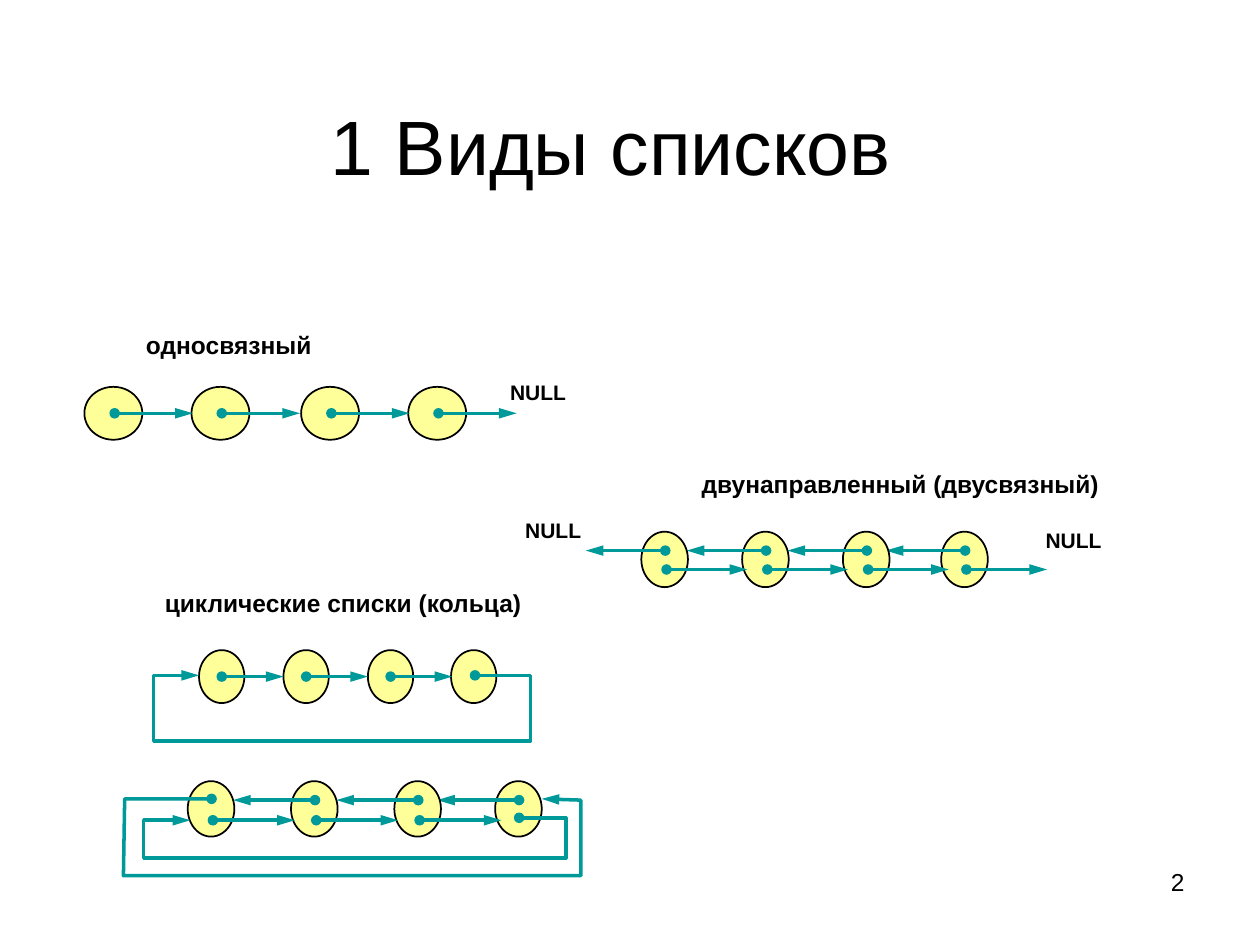
from dataclasses import dataclass

from pptx import Presentation
from pptx.dml.color import RGBColor
from pptx.enum.shapes import MSO_CONNECTOR as Connector, MSO_SHAPE as Shape
from pptx.enum.text import MSO_ANCHOR as Anchor, PP_ALIGN as Align
from pptx.oxml.ns import qn
from pptx.util import Inches, Pt
from lxml.etree import SubElement


@dataclass(frozen=True)
class Theme:
    font: str = "Arial"
    ink: RGBColor = RGBColor(0x00, 0x00, 0x00)
    node: RGBColor = RGBColor(0xFF, 0xFF, 0x99)
    link: RGBColor = RGBColor(0x00, 0x99, 0x99)
    title_size: int = 44
    label_size: int = 14
    null_size: int = 12
    outline: int = 1
    link_width: int = 2


class ListDiagram:
    """Draws linked list diagrams on one slide in a shared style."""

    def __init__(self, slide, theme):
        self.shapes = slide.shapes
        self.theme = theme

    def text(self, words, left, top, width, height, size, bold=False,
             align=Align.LEFT, anchor=Anchor.TOP, wrap=False):
        box = self.shapes.add_textbox(
            Inches(left), Inches(top), Inches(width), Inches(height))
        frame = box.text_frame
        frame.word_wrap = wrap
        frame.vertical_anchor = anchor
        paragraph = frame.paragraphs[0]
        paragraph.text = words
        paragraph.alignment = align
        font = paragraph.font
        font.name = self.theme.font
        font.size = Pt(size)
        font.bold = bold
        font.color.rgb = self.theme.ink

    def label(self, words, left, top, width):
        self.text(words, left, top, width, 0.34, self.theme.label_size, bold=True)

    def null(self, left, top):
        self.text("NULL", left, top, 0.66, 0.3, self.theme.null_size, bold=True)

    def node(self, left, top, width, height):
        ellipse = self.shapes.add_shape(
            Shape.OVAL, Inches(left), Inches(top), Inches(width), Inches(height))
        ellipse.shadow.inherit = False
        ellipse.fill.solid()
        ellipse.fill.fore_color.rgb = self.theme.node
        ellipse.line.color.rgb = self.theme.ink
        ellipse.line.width = Pt(self.theme.outline)

    def style_link(self, shape):
        shape.line.color.rgb = self.theme.link
        shape.line.width = Pt(self.theme.link_width)
        properties = shape.element.spPr
        line = properties.get_or_add_ln()
        SubElement(line, qn("a:round"))
        SubElement(line, qn("a:headEnd"), type="oval", w="med", len="med")
        SubElement(line, qn("a:tailEnd"), type="triangle", w="med", len="lg")
        return properties

    def arrow(self, start, end, y):
        connector = self.shapes.add_connector(
            Connector.STRAIGHT, Inches(start), Inches(y), Inches(end), Inches(y))
        SubElement(self.style_link(connector), qn("a:effectLst"))

    def loop(self, *points):
        start, *rest = [(Inches(x), Inches(y)) for x, y in points]
        builder = self.shapes.build_freeform(*start)
        builder.add_line_segments(rest, close=False)
        outline = builder.convert_to_shape()
        outline.shadow.inherit = False
        outline.fill.background()
        self.style_link(outline)

    def chain(self, lefts, top, size, forward, backward=None, ring=False):
        """Draws nodes from right to left; arrows are (start, end, y) offsets."""
        last = len(lefts) - 1
        for index, left in reversed(list(enumerate(lefts))):
            self.node(left, top, *size)
            for offsets, open_end in ((forward, last), (backward, 0)):
                if offsets and not (ring and index == open_end):
                    start, end, drop = offsets
                    self.arrow(left + start, left + end, top + drop)


def main():
    presentation = Presentation()
    presentation.slide_width = Inches(10)
    presentation.slide_height = Inches(7.5)
    slide = presentation.slides.add_slide(presentation.slide_layouts[6])
    theme = Theme()
    diagram = ListDiagram(slide, theme)

    diagram.text("1 Виды списков", 0.35, 0.52, 9, 1.25, theme.title_size,
                 align=Align.CENTER, anchor=Anchor.MIDDLE, wrap=True)

    diagram.label("односвязный", 1.06, 2.57, 1.52)
    diagram.chain((0.67, 1.52, 2.39, 3.24), 3.07, (0.46, 0.42),
                  forward=(0.24, 0.86, 0.21))
    diagram.null(3.95, 2.96)

    diagram.label("двунаправленный (двусвязный)", 5.47, 3.67, 3.37)
    diagram.chain((5.09, 5.89, 6.69, 7.47), 4.22, (0.37, 0.44),
                  forward=(0.2, 0.84, 0.3), backward=(0.19, -0.44, 0.15))
    diagram.null(4.07, 4.06)
    diagram.null(8.2, 4.14)

    diagram.label("циклические списки (кольца)", 1.21, 4.62, 3.03)
    diagram.chain((1.58, 2.25, 2.92, 3.58), 5.16, (0.36, 0.42),
                  forward=(0.18, 0.67, 0.21), ring=True)
    diagram.loop((3.77, 5.36), (4.21, 5.36), (4.21, 5.88),
                 (1.22, 5.88), (1.22, 5.36), (1.58, 5.36))

    diagram.chain((1.49, 2.31, 3.13, 3.93), 6.2, (0.37, 0.44),
                  forward=(0.2, 0.85, 0.31), backward=(0.19, -0.46, 0.15), ring=True)
    diagram.loop((4.12, 6.49), (4.49, 6.49), (4.49, 6.81),
                 (1.14, 6.81), (1.14, 6.51), (1.51, 6.51))
    diagram.loop((1.68, 6.34), (0.99, 6.34), (0.98, 6.95),
                 (4.61, 6.95), (4.61, 6.35), (4.3, 6.34))

    diagram.text("2", 7.17, 6.83, 2.33, 0.52, theme.label_size,
                 align=Align.RIGHT, wrap=True)
    presentation.save("out.pptx")


if __name__ == "__main__":
    main()
